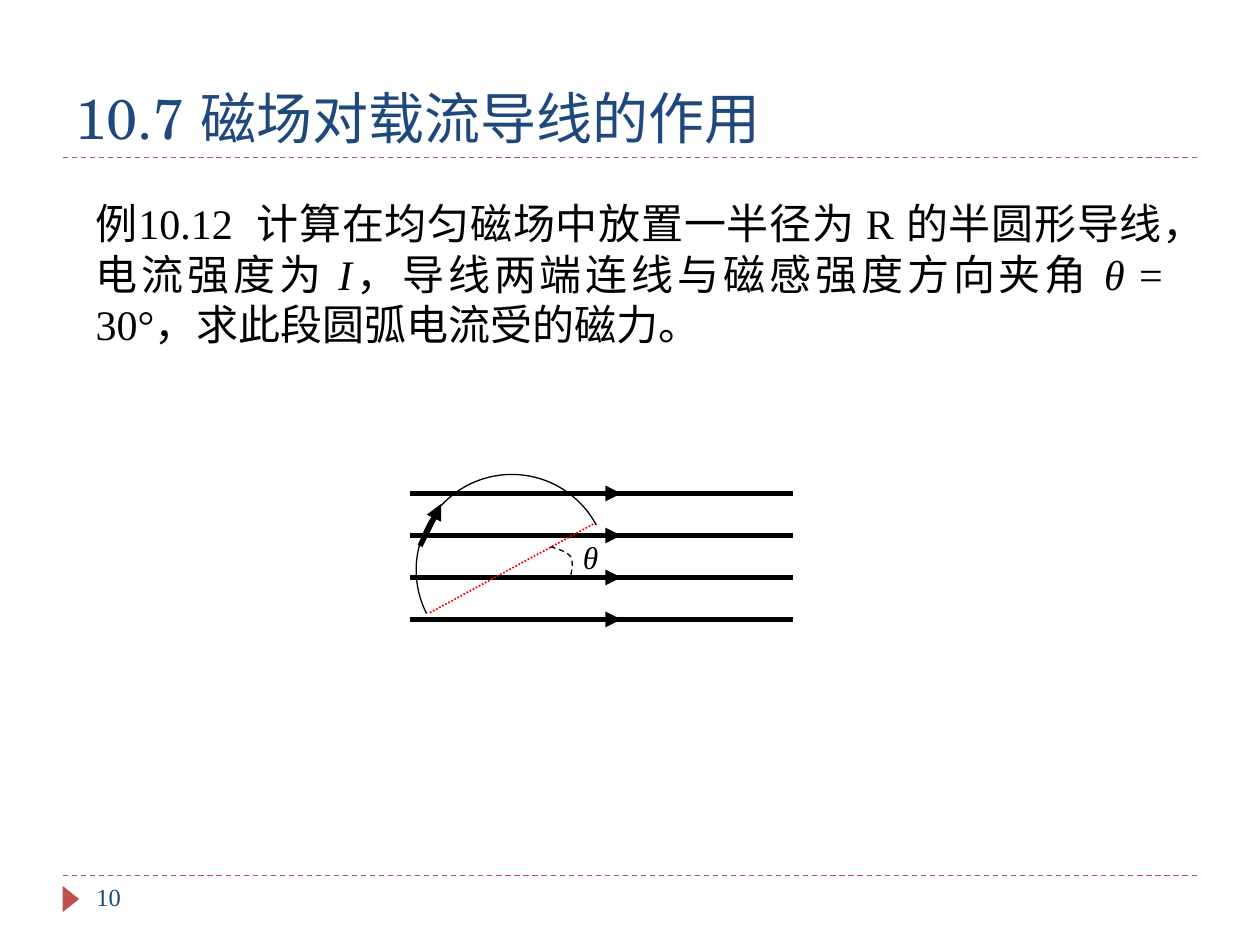
from lxml.etree import SubElement as Sub
from pptx import Presentation
from pptx.dml.color import RGBColor as Rgb
from pptx.enum.dml import MSO_LINE as Dash
from pptx.enum.shapes import MSO_CONNECTOR as Conn, MSO_SHAPE as Kind
from pptx.enum.text import MSO_ANCHOR as Anchor, MSO_AUTO_SIZE as Fit, PP_ALIGN as Align
from pptx.oxml.ns import qn
from pptx.util import Pt

COLORS = {"ink": "000000", "navy": "1F497D", "brick": "C0504D", "red": "FF0000"}
SERIF = "Times New Roman"


def tint(name):
    """Return the named colour."""
    return Rgb.from_string(COLORS[name])


def style(line, color, width, dash=None):
    """Set colour, width and dash of a line."""
    line.color.rgb = tint(color)
    line.width = Pt(width)
    if dash:
        line.dash_style = dash


def add_line(slide, start, end, color, width, dash=None, arrow=False):
    """Draw a straight line, with an arrowhead at its end if asked."""
    ends = [Pt(n) for n in (*start, *end)]
    conn = slide.shapes.add_connector(Conn.STRAIGHT, *ends)
    style(conn.line, color, width, dash)
    props = conn.element.spPr
    if arrow:
        Sub(props.find(qn("a:ln")), qn("a:tailEnd"), type="triangle")
    Sub(props, qn("a:effectLst"))


def format_run(run, size, color, font=SERIF, italic=False):
    """Set the font of a run."""
    run.font.size = Pt(size)
    run.font.name = font
    run.font.italic = italic
    run.font.color.rgb = tint(color)


def add_text(slide, box, parts, size, color, align=Align.LEFT, wrap=True):
    """Add a text box of (text, italic) parts."""
    frame = slide.shapes.add_textbox(*map(Pt, box)).text_frame
    frame.word_wrap = wrap
    para = frame.paragraphs[0]
    para.alignment = align
    for text, italic in parts:
        run = para.add_run()
        run.text = text
        format_run(run, size, color, italic=italic)


def set_title(slide, text):
    """Place and format the title."""
    title = slide.shapes.title
    title.left, title.top, title.width, title.height = map(Pt, (36, 18, 648, 72))
    frame = title.text_frame
    frame.text = text
    frame.auto_size = Fit.NONE
    frame.vertical_anchor = Anchor.BOTTOM
    para = frame.paragraphs[0]
    para.alignment = Align.LEFT
    format_run(para.runs[0], 32, "navy", "TeX Gyre Schola")


def add_mark(slide):
    """Draw the triangle beside the page number."""
    mark = slide.shapes.add_shape(Kind.ISOSCELES_TRIANGLE, *map(Pt, (33, 509, 15, 9.5)))
    mark.rotation = 90
    mark.shadow.inherit = False
    mark.fill.solid()
    mark.fill.fore_color.rgb = tint("brick")
    mark.line.fill.background()


def add_arc(slide, center, radius, first, last):
    """Draw a circular arc between two angles in degrees."""
    x, y = center
    box = (x - radius, y - radius, 2 * radius, 2 * radius)
    arc = slide.shapes.add_shape(Kind.ARC, *map(Pt, box))
    arc.adjustments[0] = first * 0.6
    arc.adjustments[1] = last * 0.6
    arc.shadow.inherit = False
    arc.fill.background()
    style(arc.line, "ink", 0.75)


def bezier(knots, steps=12):
    """Return points along a cubic curve."""
    points = []
    for i in range(steps + 1):
        t = i / steps
        u = 1 - t
        mix = (u ** 3, 3 * u * u * t, 3 * u * t * t, t ** 3)
        points.append(tuple(Pt(sum(m * n for m, n in zip(mix, axis))) for axis in zip(*knots)))
    return points


def add_curve(slide, *spans):
    """Draw a dashed curve through joined cubic spans."""
    points = [point for span in spans for point in bezier(span)]
    build = slide.shapes.build_freeform(*points[0], scale=1.0)
    build.add_line_segments(points[1:], close=False)
    curve = build.convert_to_shape()
    curve.shadow.inherit = False
    curve.fill.background()
    style(curve.line, "ink", 0.75, Dash.DASH)


def add_field(slide):
    """Draw the evenly spaced field lines with arrows."""
    for row in range(4):
        y = 282 + 24 * row
        add_line(slide, (234, y), (453, y), "ink", 3)
        add_line(slide, (309.5, y), (355, y), "ink", 3, arrow=True)


def main():
    """Build the slide."""
    deck = Presentation()
    deck.slide_width, deck.slide_height = Pt(720), Pt(540)
    slide = deck.slides.add_slide(deck.slide_layouts[5])
    for y in (500.4, 90):
        add_line(slide, (36, y), (684, y), "brick", 0.75, Dash.DASH)
    add_mark(slide)
    set_title(slide, "10.7 磁场对载流导线的作用")
    add_text(slide, (48, 500.4, 156, 29), [("10", False)], 14, "navy")
    add_text(slide, (47.5, 109.5, 624, 93.6), [
        ("例10.12  计算在均匀磁场中放置一半径为 R 的半圆形导线，电流强度为 ", False),
        ("I", True),
        ("，导线两端连线与磁感强度方向夹角 ", False),
        ("θ ", True),
        ("= 30°，求此段圆弧电流受的磁力。", False),
    ], 24, "ink", Align.JUSTIFY)
    add_field(slide)
    add_line(slide, (339, 299.5), (245, 350.5), "red", 1, Dash.ROUND_DOT)
    add_arc(slide, (292.5, 325.8), 54.7, 153, 332)
    add_line(slide, (240, 312), (252, 288), "ink", 3, arrow=True)
    add_text(slide, (326, 304, 24, 29), [("θ", True)], 18, "ink", wrap=False)
    add_curve(
        slide,
        [(314.6, 312.5), (319.7, 313.9), (324, 315.4), (326.2, 318.2)],
        [(326.2, 318.2), (327.6, 321.1), (326.9, 325.4), (326.2, 329)],
    )
    deck.save("out.pptx")


if __name__ == "__main__":
    main()
